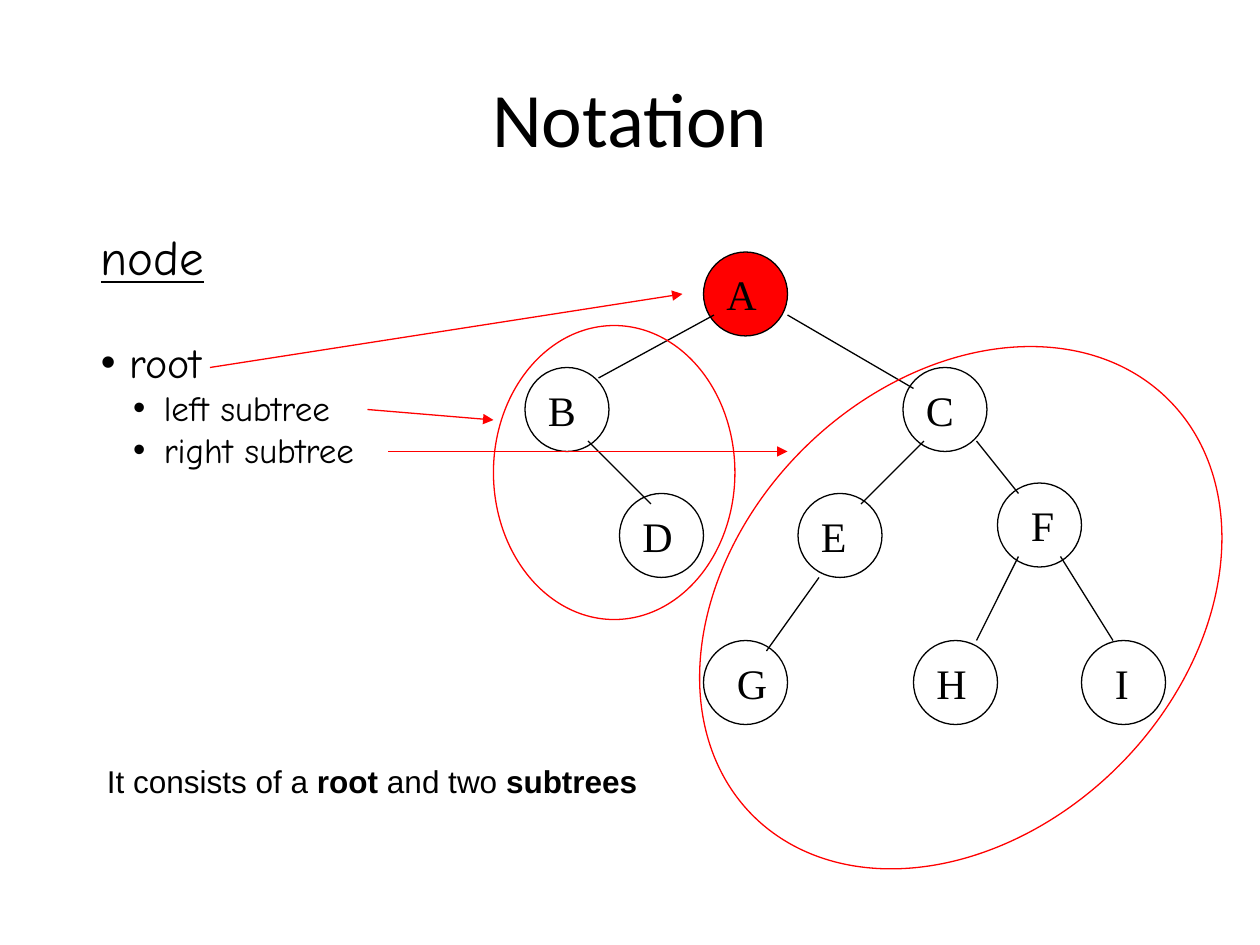
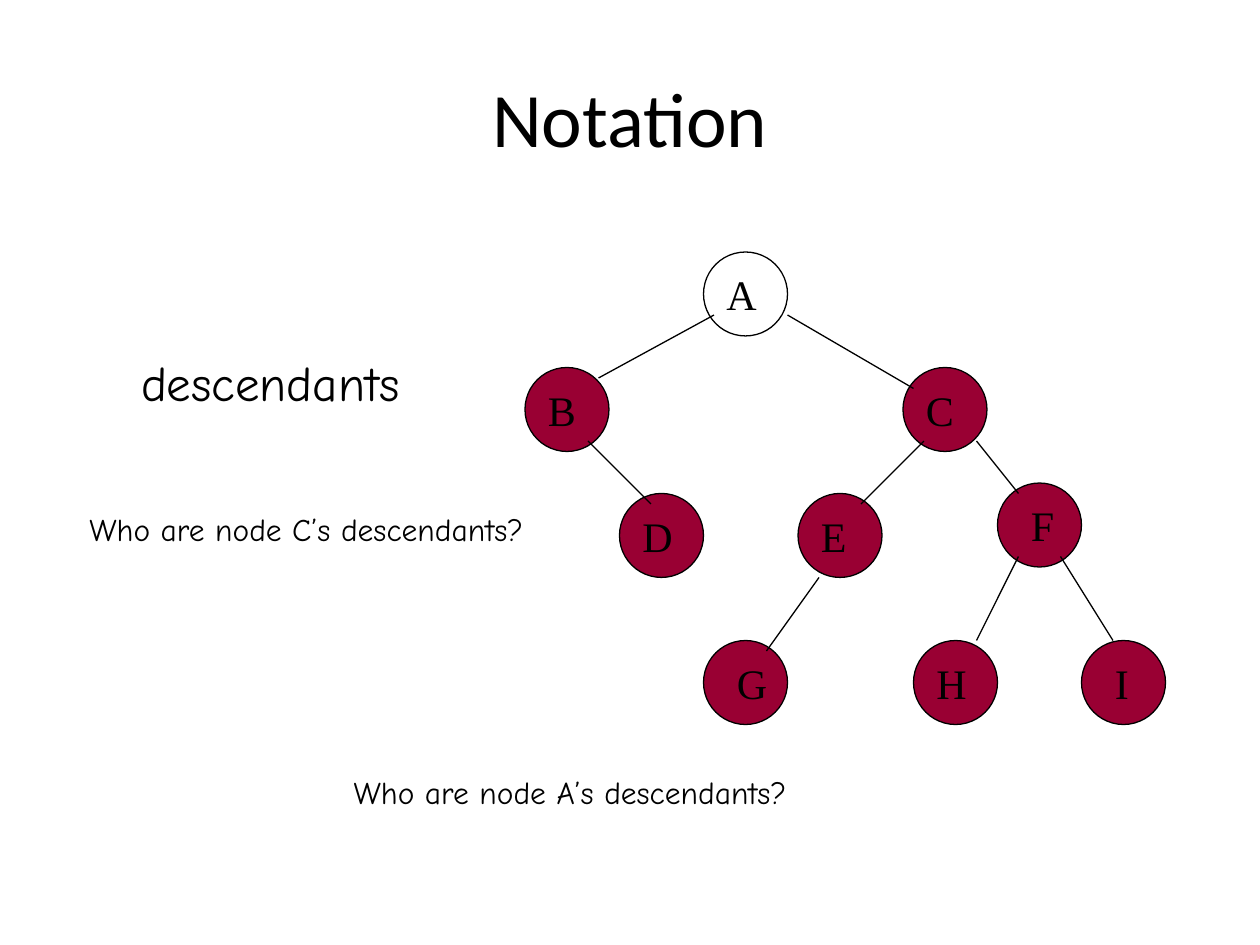
import dataclasses

import lxml.etree
import pptx
import pptx.dml.color
import pptx.enum.shapes
import pptx.enum.text
import pptx.oxml.ns
import pptx.presentation
import pptx.shapes.autoshape
import pptx.slide
import pptx.text.text
import pptx.util

Pt = pptx.util.Pt
RGB = pptx.dml.color.RGBColor
qn = pptx.oxml.ns.qn


@dataclasses.dataclass(frozen=True)
class Theme:
    ink: RGB = RGB(0, 0, 0)
    highlight: RGB = RGB(0xFF, 0, 0)
    descendant: RGB = RGB(0x99, 0, 0x33)
    title_font: str = "Calibri"
    note_font: str = "Comic Neue"
    caption_font: str = "Arial"
    label_font: str = "Times New Roman"
    title_size: float = 44
    heading_size: float = 28
    item_size: float = 24
    subitem_size: float = 20
    caption_size: float = 18
    line_width: float = 0.75


THEME = Theme()
NODE_SIZE = 48
LABEL_DROP = 6
LABEL_HEIGHT = 36


@dataclasses.dataclass(frozen=True)
class Box:
    left: float
    top: float
    width: float
    height: float

    def in_points(self) -> tuple[pptx.util.Length, ...]:
        return Pt(self.left), Pt(self.top), Pt(self.width), Pt(self.height)


@dataclasses.dataclass(frozen=True)
class TreeNode:
    letter: str
    left: float
    top: float
    label_width: float
    label_shift: float = 6


@dataclasses.dataclass(frozen=True)
class Link:
    x1: float
    y1: float
    x2: float
    y2: float


@dataclasses.dataclass(frozen=True)
class ListItem:
    text: str
    size: float
    level: int = 0
    margin: float = 0
    hanging: float = 0
    space_before: float = 0


NODES = (
    TreeNode("A", 402, 144, 31.7),
    TreeNode("B", 300, 210, 30.2),
    TreeNode("C", 516, 210, 30.2),
    TreeNode("D", 354, 282, 31.7),
    TreeNode("E", 456, 282, 28.8),
    TreeNode("F", 570, 276, 27.4, 12),
    TreeNode("G", 402, 366, 31.7, 12),
    TreeNode("H", 522, 366, 31.7),
    TreeNode("I", 618, 366, 22.4, 12),
)

EDGES = (
    Link(408, 180, 342, 216),  # A-B
    Link(450, 180, 522, 222),  # A-C
    Link(336, 252, 372, 288),  # B-D
    Link(528, 252, 492, 288),  # C-E
    Link(558, 252, 582, 282),  # C-F
    Link(468, 330, 438, 372),  # E-G
    Link(582, 318, 558, 366),  # F-H
    Link(606, 318, 636, 366),  # F-I
)

TERMS = (
    ListItem("node", THEME.heading_size),
    ListItem("root", THEME.item_size, margin=16.5, hanging=16.5, space_before=29),
    ListItem("left subtree", THEME.subitem_size, 1, 36, 17.5),
    ListItem("right subtree", THEME.subitem_size, 1, 36, 17.5),
)

TERM_ARROWS = (
    Link(120, 210, 390, 168),
    Link(210, 234, 282, 240),
    Link(222, 258, 450, 258),
)


def style_font(font: pptx.text.text.Font, name: str, size: float) -> None:
    font.name = name
    font.size = Pt(size)
    font.color.rgb = THEME.ink


def add_titled_slide(deck: pptx.presentation.Presentation, layout: int) -> pptx.slide.Slide:
    slide = deck.slides.add_slide(deck.slide_layouts[layout])
    title = slide.shapes.title
    title.left, title.top, title.width, title.height = Box(36, 21.6, 648, 90).in_points()
    title.text_frame.text = "Notation"
    style_font(title.text_frame.paragraphs[0].runs[0].font, THEME.title_font, THEME.title_size)
    return slide


def add_text(slide: pptx.slide.Slide, box: Box, pieces: tuple[str, ...],
             font: str, size: float) -> None:
    """Add one line of text in which every second piece is bold."""
    frame = slide.shapes.add_textbox(*box.in_points()).text_frame
    frame.word_wrap = False
    frame.auto_size = pptx.enum.text.MSO_AUTO_SIZE.SHAPE_TO_FIT_TEXT
    for index, piece in enumerate(pieces):
        run = frame.paragraphs[0].add_run()
        run.text = piece
        style_font(run.font, font, size)
        run.font.bold = index % 2 == 1


def add_ellipse(slide: pptx.slide.Slide, box: Box, outline: RGB,
                fill: RGB | None = None) -> pptx.shapes.autoshape.Shape:
    ellipse = slide.shapes.add_shape(pptx.enum.shapes.MSO_SHAPE.OVAL, *box.in_points())
    ellipse.shadow.inherit = False
    ellipse.line.color.rgb = outline
    ellipse.line.width = Pt(THEME.line_width)
    if fill is None:
        ellipse.fill.background()
    else:
        ellipse.fill.solid()
        ellipse.fill.fore_color.rgb = fill
    return ellipse


def add_link(slide: pptx.slide.Slide, link: Link, color: RGB, arrow: bool = False) -> None:
    connector = slide.shapes.add_connector(
        pptx.enum.shapes.MSO_CONNECTOR.STRAIGHT,
        Pt(link.x1), Pt(link.y1), Pt(link.x2), Pt(link.y2))
    connector.line.color.rgb = color
    connector.line.width = Pt(THEME.line_width)
    properties = connector._element.spPr
    if arrow:
        lxml.etree.SubElement(properties.find(qn("a:ln")), qn("a:tailEnd"), type="triangle")
    lxml.etree.SubElement(properties, qn("a:effectLst"))


def add_tree(slide: pptx.slide.Slide, fills: dict[str, RGB]) -> None:
    for node in NODES:
        circle = Box(node.left, node.top, NODE_SIZE, NODE_SIZE)
        add_ellipse(slide, circle, THEME.ink, fills.get(node.letter))
    for edge in EDGES:
        add_link(slide, edge, THEME.ink)
    for node in NODES:
        label = Box(node.left + node.label_shift, node.top + LABEL_DROP,
                    node.label_width, LABEL_HEIGHT)
        add_text(slide, label, (node.letter,), THEME.label_font, THEME.item_size)


def set_bullet(paragraph: pptx.text.text._Paragraph, item: ListItem) -> None:
    properties = paragraph._p.get_or_add_pPr()
    properties.set("marL", str(Pt(item.margin)))
    properties.set("indent", str(-Pt(item.hanging)))
    if item.hanging:
        lxml.etree.SubElement(properties, qn("a:buFont"), typeface="Arial")
        lxml.etree.SubElement(properties, qn("a:buChar"), char="•")
    else:
        lxml.etree.SubElement(properties, qn("a:buNone"))


def fill_terms(slide: pptx.slide.Slide) -> None:
    terms = slide.placeholders[1]
    terms.left, terms.top, terms.width, terms.height = Box(50.4, 126, 165.6, 147).in_points()
    frame = terms.text_frame
    frame.text = "\n".join(item.text for item in TERMS)
    frame.auto_size = pptx.enum.text.MSO_AUTO_SIZE.NONE
    for paragraph, item in zip(frame.paragraphs, TERMS):
        paragraph.level = item.level
        paragraph.space_before = Pt(item.space_before)
        set_bullet(paragraph, item)
        style_font(paragraph.runs[0].font, THEME.note_font, item.size)
    frame.paragraphs[0].runs[0].font.underline = True


def build_subtrees_slide(deck: pptx.presentation.Presentation) -> None:
    slide = add_titled_slide(deck, 1)
    fill_terms(slide)
    add_tree(slide, {"A": THEME.highlight})
    add_ellipse(slide, Box(282, 186, 138, 168), THEME.highlight)
    right_subtree = add_ellipse(slide, Box(381, 219.5, 336, 255.5), THEME.highlight)
    right_subtree.rotation = 135
    for arrow in TERM_ARROWS:
        add_link(slide, arrow, THEME.highlight, arrow=True)
    add_text(slide, Box(54, 432, 317.5, 29),
             ("It consists of a ", "root ", "and two ", "subtrees"),
             THEME.caption_font, THEME.caption_size)


def build_descendants_slide(deck: pptx.presentation.Presentation) -> None:
    slide = add_titled_slide(deck, 5)
    add_tree(slide, {node.letter: THEME.descendant for node in NODES[1:]})
    notes = (
        ("descendants", Box(73.5, 198, 162, 41), THEME.heading_size),
        ("Who are node C’s descendants?", Box(44, 288, 262.8, 29), THEME.caption_size),
        ("Who are node A’s descendants?", Box(195, 438, 262, 29), THEME.caption_size),
    )
    for text, box, size in notes:
        add_text(slide, box, (text,), THEME.note_font, size)


def main() -> None:
    deck = pptx.Presentation()
    deck.slide_width, deck.slide_height = Pt(720), Pt(540)
    build_subtrees_slide(deck)
    build_descendants_slide(deck)
    deck.save("out.pptx")


if __name__ == "__main__":
    main()
